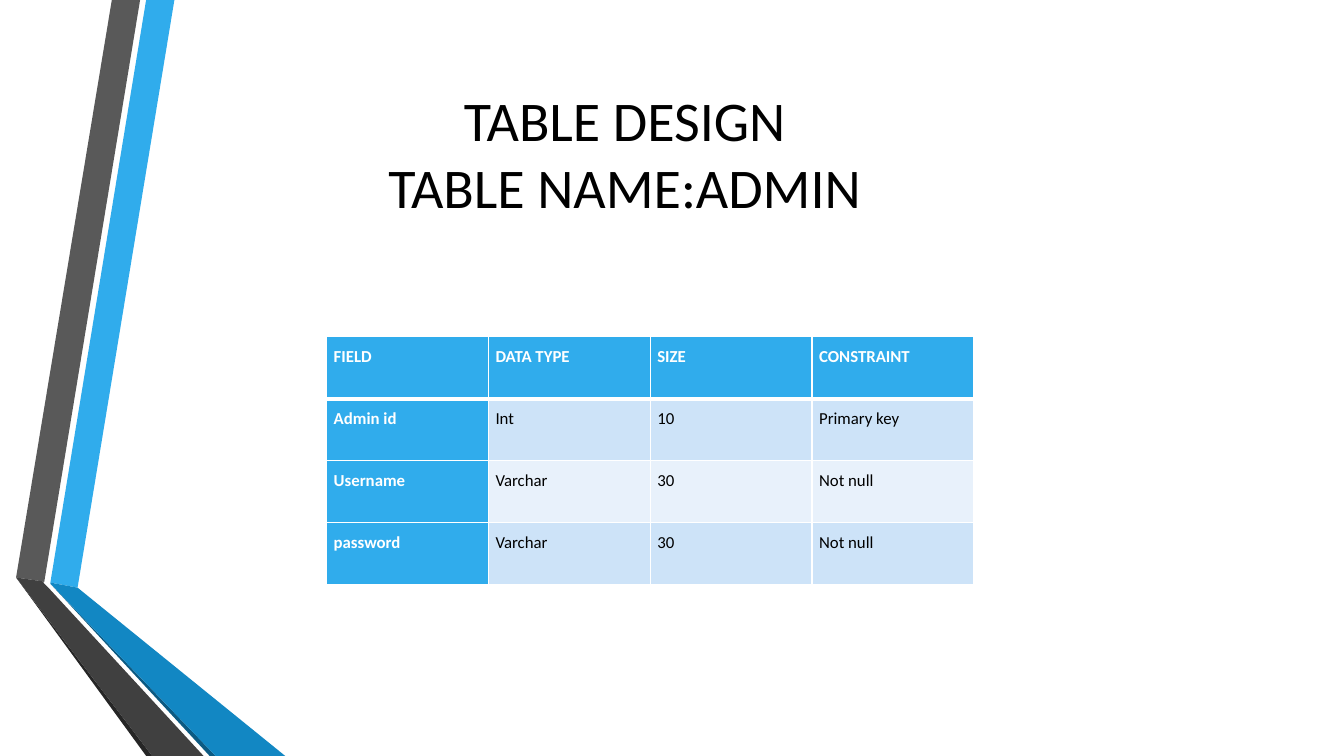
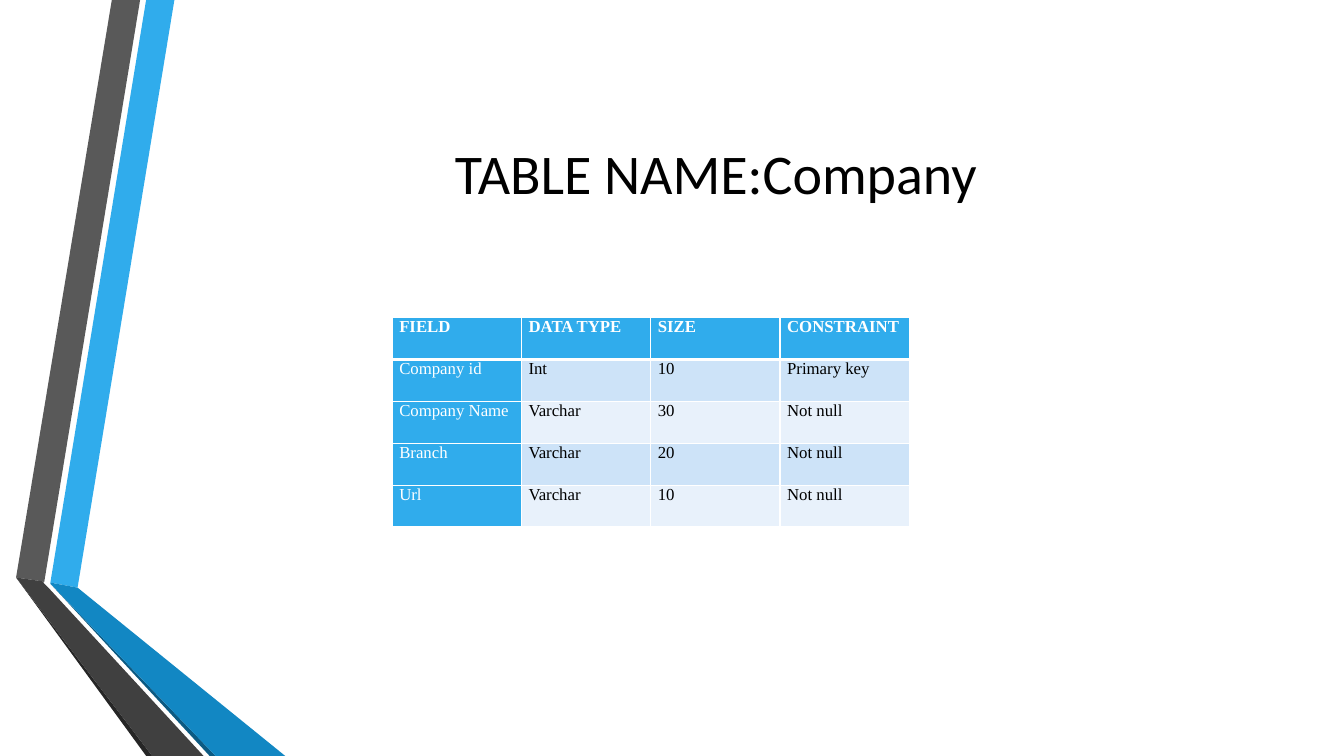
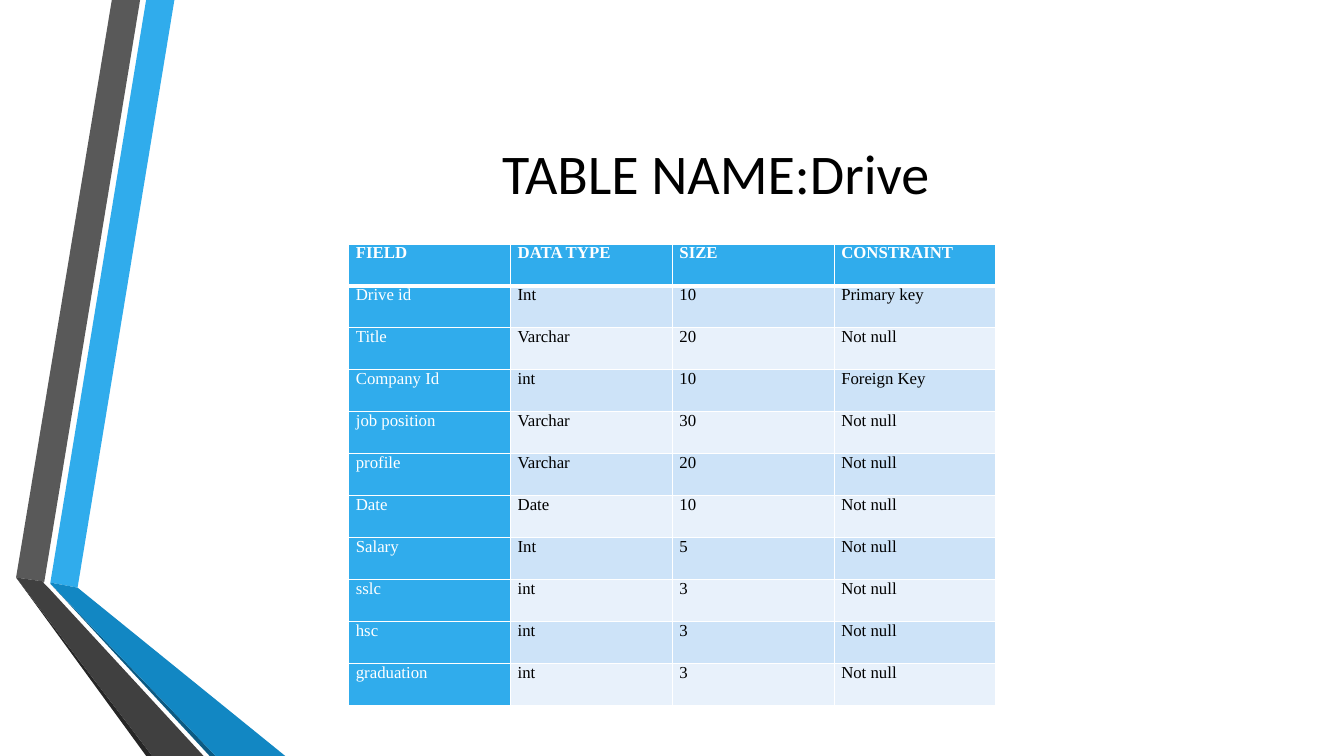
import pptx
import pptx.dml.color
import pptx.enum.text
import pptx.util
from lxml import etree
import pptx.oxml.ns

SCALE = 9144  # EMU in one px, 100 px to the inch
BLUE, WHITE, BLACK = "30ACEC", "FFFFFF", "000000"
BANDS = ["CDE3F8", "E8F1FB"]
SANS, SERIF = "Calibri", "Times New Roman"
HEAD = ["FIELD", "DATA TYPE", "SIZE", "CONSTRAINT"]

# Ribbon pieces, back to front: colour and corner points
RIBBON = [
    (BLUE, [(50, 578), (77, 583), (173, 0), (145, 0)]),
    ("595959", [(139, 0), (111, 0), (16, 573), (44, 577)]),
    ("262626", [(16, 573), (145, 750), (151, 750)]),
    ("0C5A82", [(50, 579), (208, 750), (214, 750)]),
    ("1287C3", [(50, 579), (214, 750), (283, 750), (77, 583), (50, 578)]),
    ("404040", [(202, 750), (48, 583), (43, 578), (44, 577), (16, 573),
                (151, 750)]),
]

TITLE = (162, 75, 1096, 192)

SLIDES = [
    dict(title=["TABLE DESIGN", "TABLE NAME:ADMIN"],
         area=(110, 57, 1019, 188), box=(324, 334, 642, 246),
         font=SANS, bold=True, line=1.5, after=10,
         rows=[["Admin id", "Int", "10", "Primary key"],
               ["Username", "Varchar", "30", "Not null"],
               ["password", "Varchar", "30", "Not null"]]),
    dict(title=["TABLE NAME:Company"], area=TITLE, box=(389, 315, 513, 208),
         rows=[["Company id", "Int", "10", "Primary key"],
               ["Company Name", "Varchar", "30", "Not null"],
               ["Branch", "Varchar", "20", "Not null"],
               ["Url", "Varchar", "10", "Not null"]]),
    dict(title=["TABLE NAME:Drive"], area=TITLE, box=(346, 242, 642, 458),
         rows=[["Drive id", "Int", "10", "Primary key"],
               ["Title", "Varchar", "20", "Not null"],
               ["Company Id", "int", "10", "Foreign Key"],
               ["job position", "Varchar", "30", "Not null"],
               ["profile", "Varchar", "20", "Not null"],
               ["Date", "Date", "10", "Not null"],
               ["Salary", "Int", "5", "Not null"],
               ["sslc", "int", "3", "Not null"],
               ["hsc", "int", "3", "Not null"],
               ["graduation", "int", "3", "Not null"]]),
]


def px(num):
    return pptx.util.Emu(round(num * SCALE))


def rgb(code):
    return pptx.dml.color.RGBColor.from_string(code)


def paint(item, code):
    item.fill.solid()
    item.fill.fore_color.rgb = rgb(code)


def add_run(para, text, font, size, code, bold=False):
    run = para.add_run()
    run.text = text
    run.font.name = font
    run.font.size = pptx.util.Pt(size)
    run.font.bold = bold
    run.font.color.rgb = rgb(code)


def add_ribbon(slide):
    group = slide.shapes.add_group_shape()
    for code, spots in RIBBON:
        pen = group.shapes.build_freeform(*spots[0], scale=SCALE)
        pen.add_line_segments(spots[1:], close=True)
        piece = pen.convert_to_shape()
        piece.shadow.inherit = False
        paint(piece, code)
        piece.line.fill.background()


def add_title(slide, area, lines):
    frame = slide.shapes.add_textbox(*map(px, area)).text_frame
    frame.word_wrap = True
    frame.vertical_anchor = pptx.enum.text.MSO_ANCHOR.MIDDLE
    para = frame.paragraphs[0]
    para.alignment = pptx.enum.text.PP_ALIGN.CENTER
    for i, text in enumerate(lines):
        if i:
            para.add_line_break()
        add_run(para, text, SANS, 40, BLACK)


def add_edges(cell, top, base):
    props = cell._tc.get_or_add_tcPr()
    for side, width in zip("LRTB", (1, 1, top, base)):
        edge = etree.SubElement(props, pptx.oxml.ns.qn("a:ln" + side),
                                w=str(pptx.util.Pt(width)))
        fill = etree.SubElement(edge, pptx.oxml.ns.qn("a:solidFill"))
        etree.SubElement(fill, pptx.oxml.ns.qn("a:srgbClr"), val=WHITE)


def add_grid(slide, box, rows, font=SERIF, bold=False, line=None, after=None):
    rows = [HEAD] + rows
    grid = slide.shapes.add_table(len(rows), len(HEAD), *map(px, box)).table
    grid.horz_banding = False
    for col in grid.columns:
        col.width = px(box[2] / len(HEAD))
    for r, row in enumerate(rows):
        grid.rows[r].height = px(box[3] / len(rows))
        for c, text in enumerate(row):
            cell = grid.cell(r, c)
            cell.margin_left = cell.margin_right = px(7)
            cell.margin_top = cell.margin_bottom = 0
            # The rule under the header is thicker
            add_edges(cell, 3 if r == 1 else 1, 3 if r == 0 else 1)
            key = r == 0 or c == 0
            paint(cell, BLUE if key else BANDS[(r - 1) % 2])
            para = cell.text_frame.paragraphs[0]
            if line:
                para.line_spacing = line
                para.space_after = pptx.util.Pt(after)
            add_run(para, text, font, 12, WHITE if key else BLACK,
                    r == 0 or (c == 0 and bold))


def add_page(deck, title, area, **grid):
    slide = deck.slides.add_slide(deck.slide_layouts[6])
    paint(slide.background, WHITE)
    add_ribbon(slide)
    add_title(slide, area, title)
    add_grid(slide, **grid)


def main():
    deck = pptx.Presentation()
    deck.slide_width, deck.slide_height = px(1333), px(750)
    for page in SLIDES:
        add_page(deck, **page)
    deck.save("out.pptx")


if __name__ == "__main__":
    main()
